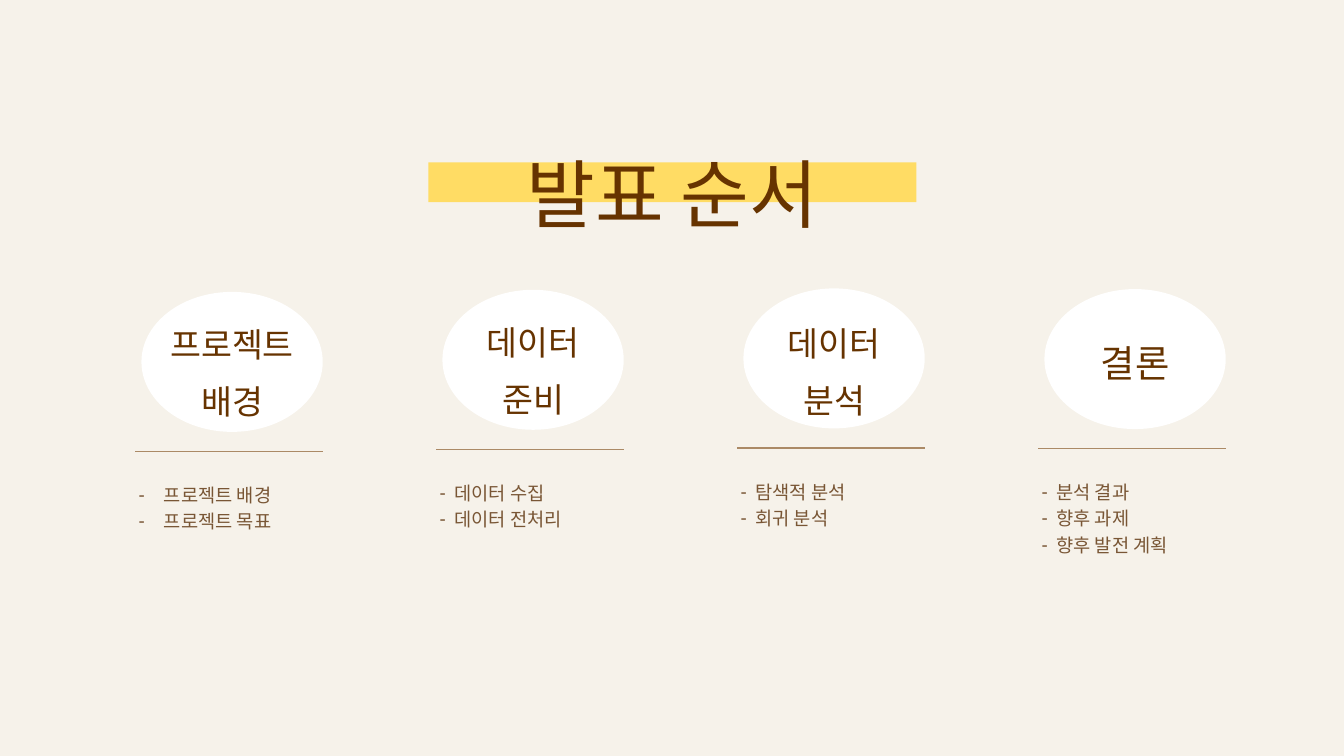
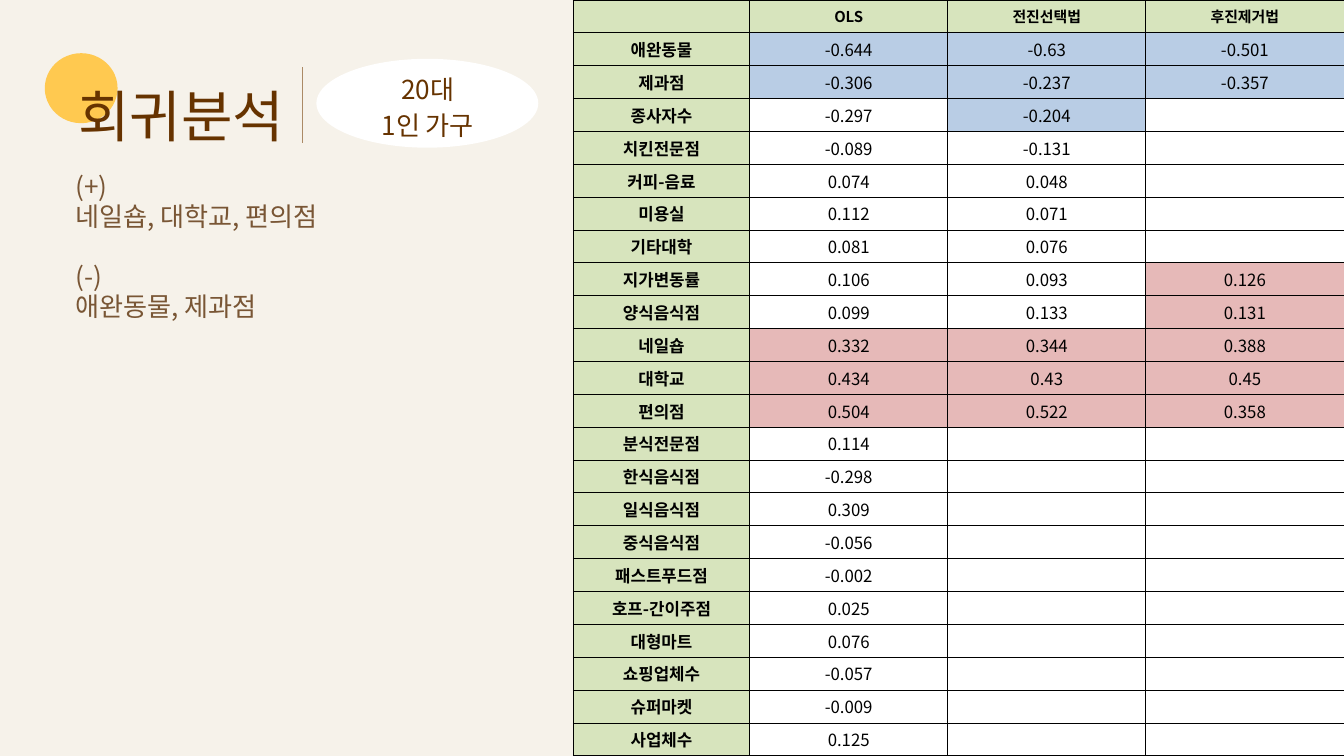
from typing import NamedTuple, Optional, Sequence

from lxml import etree
from pptx import Presentation
from pptx.dml.color import RGBColor
from pptx.enum.shapes import MSO_CONNECTOR, MSO_SHAPE
from pptx.enum.text import MSO_ANCHOR, MSO_AUTO_SIZE, PP_ALIGN
from pptx.oxml.ns import qn
from pptx.util import Emu, Pt

# Shared look
EMU_PER_PX = 9525
SLIDE_WIDTH, SLIDE_HEIGHT = 1920, 1080
FONT = "Noto Sans CJK KR"
COLORS = {
    "background": "F6F2EA",
    "heading": "663300",
    "body": "795635",
    "rule": "AB8A66",
    "band": "FFDC64",
    "dot": "FFC950",
    "white": "FFFFFF",
    "black": "000000",
    "label": "D7E4BD",
    "negative": "B9CDE5",
    "positive": "E6B9B8",
}
LEFT, CENTER, JUSTIFY = PP_ALIGN.LEFT, PP_ALIGN.CENTER, PP_ALIGN.JUSTIFY
TOP, MIDDLE = MSO_ANCHOR.TOP, MSO_ANCHOR.MIDDLE
NO_AUTOFIT = MSO_AUTO_SIZE.NONE
STRAIGHT = MSO_CONNECTOR.STRAIGHT
OVAL, RECTANGLE = MSO_SHAPE.OVAL, MSO_SHAPE.RECTANGLE
TITLE_AND_CONTENT, COMPARISON = 1, 4


class Box(NamedTuple):
    left: int
    top: int
    width: int
    height: int


class Step(NamedTuple):
    """One column of the agenda."""
    label: Sequence[str]
    topics: Sequence[str]
    top: int
    label_offset: int = 21
    label_size: int = 36
    hang: int = 21


class Variable(NamedTuple):
    """One table row; marked lists the highlighted value columns."""
    name: str
    values: Sequence[str]
    marked: Sequence[int] = ()


STEPS = (
    Step(["프로젝트 배경"], ["프로젝트 배경", "프로젝트 목표"], 417, hang=36),
    Step(["데이터", "준비"], ["데이터 수집", "데이터 전처리"], 414),
    Step(["데이터", "분석"], ["탐색적 분석", "회귀 분석"], 412, label_offset=25),
    Step(["결론"], ["분석 결과", "향후 과제", "향후 발전 계획"], 413,
         label_offset=55, label_size=40),
)
STEP_LEFT, STEP_PITCH = 202, 430

METHODS = ("OLS", "전진선택법", "후진제거법")
ALL_METHODS = (0, 1, 2)
VARIABLES = (
    Variable("애완동물", ["-0.644", "-0.63", "-0.501"], ALL_METHODS),
    Variable("제과점", ["-0.306", "-0.237", "-0.357"], ALL_METHODS),
    Variable("종사자수", ["-0.297", "-0.204"], (1,)),
    Variable("치킨전문점", ["-0.089", "-0.131"]),
    Variable("커피-음료", ["0.074", "0.048"]),
    Variable("미용실", ["0.112", "0.071"]),
    Variable("기타대학", ["0.081", "0.076"]),
    Variable("지가변동률", ["0.106", "0.093", "0.126"], (2,)),
    Variable("양식음식점", ["0.099", "0.133", "0.131"], (2,)),
    Variable("네일숍", ["0.332", "0.344", "0.388"], ALL_METHODS),
    Variable("대학교", ["0.434", "0.43", "0.45"], ALL_METHODS),
    Variable("편의점", ["0.504", "0.522", "0.358"], ALL_METHODS),
    Variable("분식전문점", ["0.114"]),
    Variable("한식음식점", ["-0.298"]),
    Variable("일식음식점", ["0.309"]),
    Variable("중식음식점", ["-0.056"]),
    Variable("패스트푸드점", ["-0.002"]),
    Variable("호프-간이주점", ["0.025"]),
    Variable("대형마트", ["0.076"]),
    Variable("쇼핑업체수", ["-0.057"]),
    Variable("슈퍼마켓", ["-0.009"]),
    Variable("사업체수", ["0.125"]),
)
TABLE_BOX = Box(819, 0, 1101, SLIDE_HEIGHT)
COLUMN_WIDTHS = (252, 283, 283, 283)


def px(length: int) -> Emu:
    return Emu(length * EMU_PER_PX)


def rgb(name: str) -> RGBColor:
    return RGBColor.from_string(COLORS[name])


# Text
def set_bullet(paragraph, hang: int) -> None:
    """Give a dash with a hanging indent, or no bullet when hang is 0."""
    properties = paragraph._p.get_or_add_pPr()
    properties.set("marL", str(px(hang)))
    properties.set("indent", str(px(-hang)))
    if hang:
        etree.SubElement(properties, qn("a:buChar")).set("char", "-")
    else:
        etree.SubElement(properties, qn("a:buNone"))


def write_text(text_frame, lines: Sequence[str], *, size: int, color: str,
               align=LEFT, spacing: Optional[float] = None, bold: bool = False,
               hang: int = 0, gap_before: Optional[int] = None) -> None:
    """Write one paragraph a line; gap_before is the line after an open row."""
    for index, line in enumerate(lines):
        paragraph = text_frame.paragraphs[0] if index == 0 else text_frame.add_paragraph()
        set_bullet(paragraph, hang)
        paragraph.alignment = align
        paragraph.space_before = Pt(spacing if index == gap_before else 0)
        if spacing:
            paragraph.line_spacing = Pt(spacing)
        run = paragraph.add_run()
        run.text = line
        run.font.name = FONT
        run.font.size = Pt(size)
        run.font.bold = bold
        run.font.color.rgb = rgb(color)
        east_asian = etree.SubElement(run._r.get_or_add_rPr(), qn("a:ea"))
        east_asian.set("typeface", FONT)


def clear_frame(text_frame) -> None:
    text_frame.margin_left = text_frame.margin_right = 0
    text_frame.margin_top = text_frame.margin_bottom = 0
    text_frame.word_wrap = True
    text_frame.auto_size = NO_AUTOFIT
    text_frame.vertical_anchor = TOP


def add_text(slide, box: Box, lines: Sequence[str], **text_format) -> None:
    shape = slide.shapes.add_textbox(*map(px, box))
    clear_frame(shape.text_frame)
    write_text(shape.text_frame, lines, **text_format)


def fill_placeholder(shape, box: Box, lines: Sequence[str], **text_format) -> None:
    """Move a placeholder to its box and to the front, then write in it."""
    shape.left, shape.top, shape.width, shape.height = map(px, box)
    shape._element.getparent().append(shape._element)
    clear_frame(shape.text_frame)
    write_text(shape.text_frame, lines, **text_format)


# Shapes
def add_filled(slide, preset, box: Box, color: str) -> None:
    shape = slide.shapes.add_shape(preset, *map(px, box))
    shape.shadow.inherit = False
    shape.fill.solid()
    shape.fill.fore_color.rgb = rgb(color)
    shape.line.fill.background()


def add_rule(slide, start: tuple[int, int], end: tuple[int, int]) -> None:
    connector = slide.shapes.add_connector(STRAIGHT, *map(px, start + end))
    connector.line.color.rgb = rgb("rule")
    connector.line.width = Pt(1.5)
    etree.SubElement(connector._element.spPr, qn("a:effectLst"))


# Table
def style_cell(cell, color: str, side_margin: int) -> None:
    properties = cell._tc.get_or_add_tcPr()
    for side in ("lnL", "lnR", "lnT", "lnB"):
        border = etree.SubElement(properties, qn(f"a:{side}"))
        border.set("w", str(Pt(1)))
        border_fill = etree.SubElement(border, qn("a:solidFill"))
        etree.SubElement(border_fill, qn("a:srgbClr")).set("val", COLORS["black"])
    cell.fill.solid()
    cell.fill.fore_color.rgb = rgb(color)
    cell.margin_left = cell.margin_right = px(side_margin)
    cell.margin_top = cell.margin_bottom = 0
    cell.vertical_anchor = MIDDLE


def value_color(variable: Variable, column: int) -> str:
    if column not in variable.marked:
        return "white"
    return "negative" if variable.values[column].startswith("-") else "positive"


def write_cell(cell, text: str, color: str, *, size: int = 18,
               bold: bool = False, side_margin: int = 3) -> None:
    style_cell(cell, color, side_margin)
    if text:
        write_text(cell.text_frame, [text], size=size, color="black",
                   align=CENTER, bold=bold)


def add_coefficients(slide) -> None:
    row_count = len(VARIABLES) + 1
    table = slide.shapes.add_table(row_count, len(COLUMN_WIDTHS),
                                   *map(px, TABLE_BOX)).table
    table.horz_banding = False
    for column, width in zip(table.columns, COLUMN_WIDTHS):
        column.width = px(width)
    for row in table.rows:
        row.height = Emu(px(TABLE_BOX.height) // row_count)
    for index, method in enumerate(("", *METHODS)):
        write_cell(table.cell(0, index), method, "label",
                   size=16, bold=True, side_margin=1)
    for row_index, variable in enumerate(VARIABLES, start=1):
        write_cell(table.cell(row_index, 0), variable.name, "label", bold=True)
        for index in range(len(METHODS)):
            value = variable.values[index] if index < len(variable.values) else ""
            write_cell(table.cell(row_index, index + 1), value,
                       value_color(variable, index))


# Slides
def add_step(slide, step: Step, left: int, list_placeholder) -> None:
    add_filled(slide, OVAL, Box(left, step.top, 259, 200), "white")
    rule_top = step.top + 228
    add_rule(slide, (left - 9, rule_top), (left + 259, rule_top))
    add_text(slide, Box(left, step.top + step.label_offset, 259, 165), step.label,
             size=step.label_size, color="heading", align=CENTER, spacing=61.5)
    fill_placeholder(list_placeholder,
                     Box(left - 4, step.top + 269, 267, 38 * len(step.topics)),
                     step.topics, size=20, color="body", align=JUSTIFY,
                     spacing=28, hang=step.hang)


def build_agenda(presentation) -> None:
    slide = presentation.slides.add_slide(presentation.slide_layouts[COMPARISON])
    title, *lists = list(slide.placeholders)
    add_filled(slide, RECTANGLE, Box(612, 232, 697, 57), "band")
    fill_placeholder(title, Box(612, 141, 697, 177), ["발표 순서"],
                     size=80, color="heading", align=CENTER, spacing=149)
    for index, (step, list_placeholder) in enumerate(zip(STEPS, lists)):
        add_step(slide, step, STEP_LEFT + index * STEP_PITCH, list_placeholder)


def build_regression(presentation) -> None:
    slide = presentation.slides.add_slide(presentation.slide_layouts[TITLE_AND_CONTENT])
    title, findings = list(slide.placeholders)
    add_filled(slide, OVAL, Box(64, 76, 104, 100), "dot")
    fill_placeholder(title, Box(112, 95, 756, 108), ["회귀분석"],
                     size=60, color="heading", spacing=87.8)
    add_rule(slide, (432, 204), (432, 96))
    add_filled(slide, OVAL, Box(452, 84, 317, 127), "white")
    add_text(slide, Box(523, 97, 176, 101), ["20대", "1인 가구"],
             size=28, color="heading", align=CENTER, spacing=39.3)
    add_coefficients(slide)
    fill_placeholder(findings, Box(108, 245, 661, 215),
                     ["(+)", "네일숍, 대학교, 편의점", "(-)", "애완동물, 제과점"],
                     size=28, color="body", align=JUSTIFY, spacing=32.3, gap_before=2)


def main() -> None:
    presentation = Presentation()
    presentation.slide_width = px(SLIDE_WIDTH)
    presentation.slide_height = px(SLIDE_HEIGHT)
    background = presentation.slide_master.background.fill
    background.solid()
    background.fore_color.rgb = rgb("background")
    build_agenda(presentation)
    build_regression(presentation)
    presentation.save("out.pptx")


if __name__ == "__main__":
    main()
